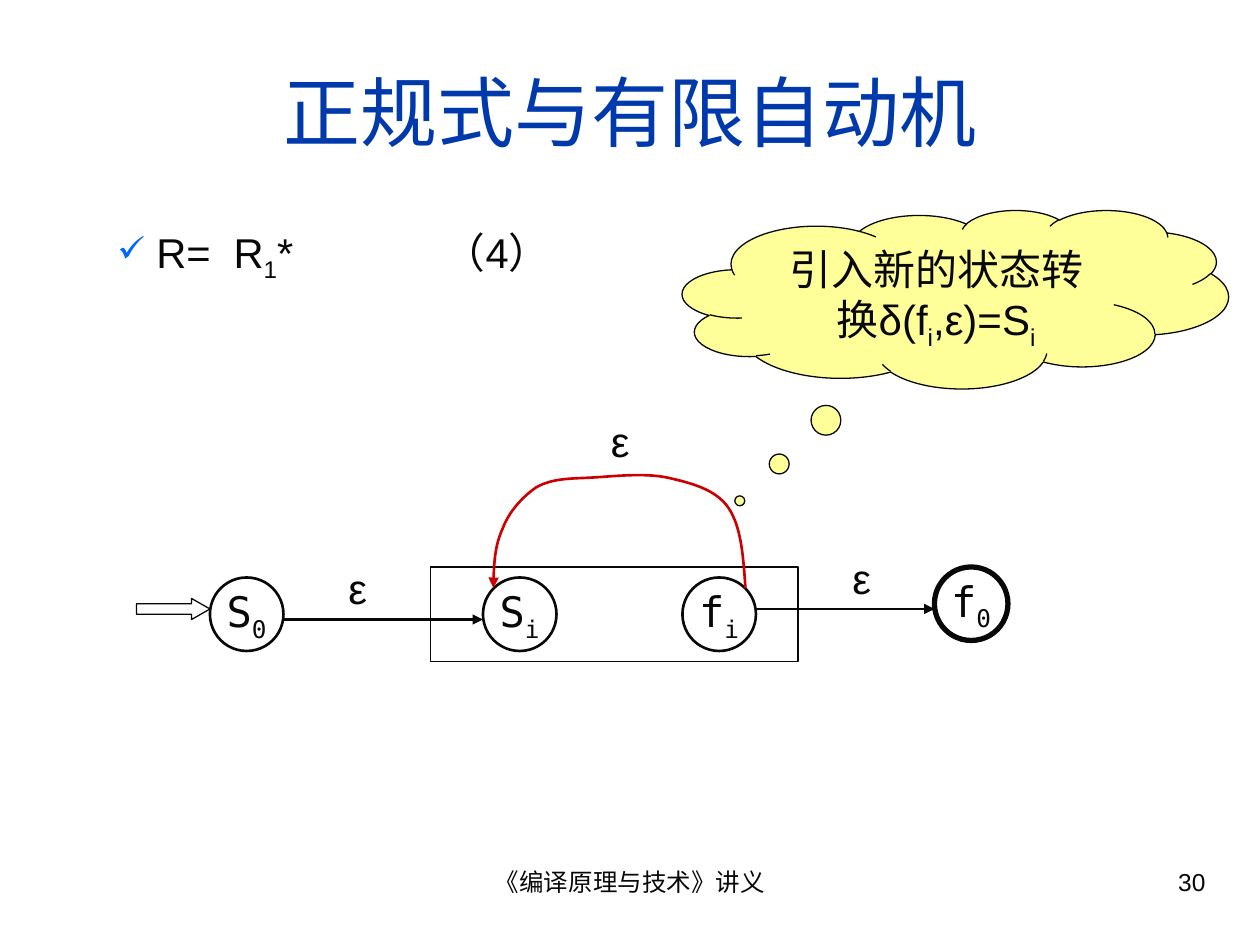
from pptx import Presentation
from pptx.dml.color import RGBColor
from pptx.enum.shapes import MSO_CONNECTOR as Connector, MSO_SHAPE as Shape
from pptx.enum.text import MSO_ANCHOR as Anchor, PP_ALIGN as Align
from pptx.oxml.ns import qn
from pptx.util import Emu, Pt
from lxml.etree import SubElement

SCALE = 7620  # EMU per px, 120 px to the inch
COLORS = {"ink": "080808", "title": "0039AC", "bullet": "0066FF",
          "cloud": "FFFF99", "loop": "CC0000"}
SANS, MONO = "Arial", "DejaVu Sans Mono"


def px(*lengths):
    return [Emu(length * SCALE) for length in lengths]


def rgb(name):
    return RGBColor.from_string(COLORS[name])


def style_font(font, size, color="ink", name=SANS):
    font.size, font.name = Pt(size), name
    font.color.rgb = rgb(color)


def write_spans(para, texts, size, name=SANS):
    """Every second text is a subscript."""
    for index, text in enumerate(texts):
        span = para.add_run()
        span.text = text
        style_font(span.font, size, name=name)
        if index % 2:
            span.font._element.set("baseline", "-25000")


def add_text(page, box, texts, size=24, align=Align.LEFT):
    frame = page.shapes.add_textbox(*px(*box)).text_frame
    frame.word_wrap = True
    para = frame.paragraphs[0]
    para.alignment = align
    write_spans(para, texts, size)
    return para


def style_line(line, width, color="ink", arrow=False):
    line.width = Pt(width)
    line.color.rgb = rgb(color)
    if arrow:
        SubElement(line._get_or_add_ln(), qn("a:tailEnd"), type="triangle")


def add_outline(page, kind, box, width, fill=None):
    shape = page.shapes.add_shape(kind, *px(*box))
    shape.shadow.inherit = False
    if fill:
        shape.fill.solid()
        shape.fill.fore_color.rgb = rgb(fill)
    else:
        shape.fill.background()
    style_line(shape.line, width)
    return shape


def add_state(page, left, top, letter, index, width=1.5):
    frame = add_outline(page, Shape.OVAL, (left, top, 70, 70), width).text_frame
    frame.word_wrap = False
    frame.vertical_anchor = Anchor.MIDDLE
    para = frame.paragraphs[0]
    para.alignment = Align.CENTER
    write_spans(para, [letter, index], 24, MONO)


def add_arrow(page, start, end, y):
    arrow = page.shapes.add_connector(Connector.STRAIGHT, *px(start, y, end, y))
    style_line(arrow.line, 1.5, arrow=True)
    SubElement(arrow._element.spPr, qn("a:effectLst"))


def add_loop(page, left, top):
    """Curve from f_i back to S_i, three points to each Bézier piece."""
    points = [(240, 110), (238, 80), (236, 52), (224, 34),
              (212, 16), (188, 10), (166, 5), (143, 0), (112, 4), (92, 5),
              (70, 6), (56, 6), (41, 14), (28, 23), (15, 37), (9, 53),
              (2, 68), (0, 89), (0, 110)]
    places = [(left + x, top + y) for x, y in points]
    builder = page.shapes.build_freeform(*places[0], scale=SCALE)
    builder.add_line_segments(places[1:], close=False)
    loop = builder.convert_to_shape()
    outline = next(loop._element.iter(qn("a:path")))
    segments = outline.findall(qn("a:lnTo"))
    for first in range(0, len(segments), 3):
        curve = SubElement(outline, qn("a:cubicBezTo"))
        for segment in segments[first:first + 3]:
            curve.append(segment[0])
            outline.remove(segment)
    loop.shadow.inherit = False
    loop.fill.background()
    style_line(loop.line, 1.5, "loop", arrow=True)


def build_title(page, box):
    title = page.shapes.title
    title.left, title.top, title.width, title.height = px(*box)
    frame = title.text_frame
    frame.text = "正规式与有限自动机"
    frame.vertical_anchor = Anchor.MIDDLE
    para = frame.paragraphs[0]
    para.alignment = Align.CENTER
    style_font(para.runs[0].font, 44, "title")


def build_rule(page, box):
    para = add_text(page, box, ["R=  R", "1", "*\t\t （4）"], 23.8)
    props = para._p.get_or_add_pPr()
    props.set("marL", str(97 * SCALE))
    props.set("indent", str(-37 * SCALE))
    # Check mark bullet and a tab stop at each inch
    color = SubElement(props, qn("a:buClr"))
    SubElement(color, qn("a:srgbClr"), val=COLORS["bullet"])
    SubElement(props, qn("a:buSzPct"), val="85000")
    SubElement(props, qn("a:buChar"), char="✓")
    tabs = SubElement(props, qn("a:tabLst"))
    for inch in range(1, 9):
        SubElement(tabs, qn("a:tab"), pos=str(inch * 120 * SCALE), algn="l")


def build_automaton(page, box):
    left, top = box[:2]
    # Inner automaton
    add_outline(page, Shape.RECTANGLE, (left + 280, top + 150, 350, 90), 1)
    # States
    add_state(page, left + 70, top + 160, "S", "0")
    add_state(page, left + 330, top + 160, "S", "i")
    add_state(page, left + 520, top + 160, "f", "i")
    add_state(page, left + 760, top + 150, "f", "0", width=3)
    # Entry arrow and transitions
    entry = add_outline(page, Shape.RIGHT_ARROW, (left, top + 180, 70, 20), 0.75)
    entry.adjustments[1] = 0.875
    add_arrow(page, left + 140, left + 330, top + 200)
    add_arrow(page, left + 590, left + 760, top + 190)
    add_loop(page, left + 340, top + 60)
    # Transition labels
    for x, y, width in ((190, 140, 90), (670, 130, 90), (440, 0, 110)):
        add_text(page, (left + x, top + y, width, 60), ["ε"])


def build_thought(page, box):
    cloud = add_outline(page, Shape.CLOUD_CALLOUT, box, 0.75, "cloud")
    cloud.adjustments[0], cloud.adjustments[1] = -0.395, 1.13
    frame = cloud.text_frame
    frame.word_wrap = True
    frame.vertical_anchor = Anchor.TOP
    para = frame.paragraphs[0]
    para.alignment = Align.CENTER
    write_spans(para, ["引入新的状态转换δ(f", "i", ",ε)=S", "i"], 24)


def build_footer(page, box):
    left, top, width, height = box
    add_text(page, (left, top, 380, height), ["《编译原理与技术》讲义"], 14, Align.CENTER)
    add_text(page, (left + width - 300, top, 300, height), ["30"], 14, Align.RIGHT)


def main():
    deck = Presentation()
    deck.slide_width, deck.slide_height = px(1200, 900)
    page = deck.slides.add_slide(deck.slide_layouts[5])
    build_footer(page, (410, 820, 750, 62))
    build_title(page, (40, 30, 1120, 150))
    build_rule(page, (40, 210, 1120, 70))
    build_automaton(page, (130, 390, 830, 240))
    build_thought(page, (650, 200, 520, 170))
    deck.save("out.pptx")


if __name__ == "__main__":
    main()
